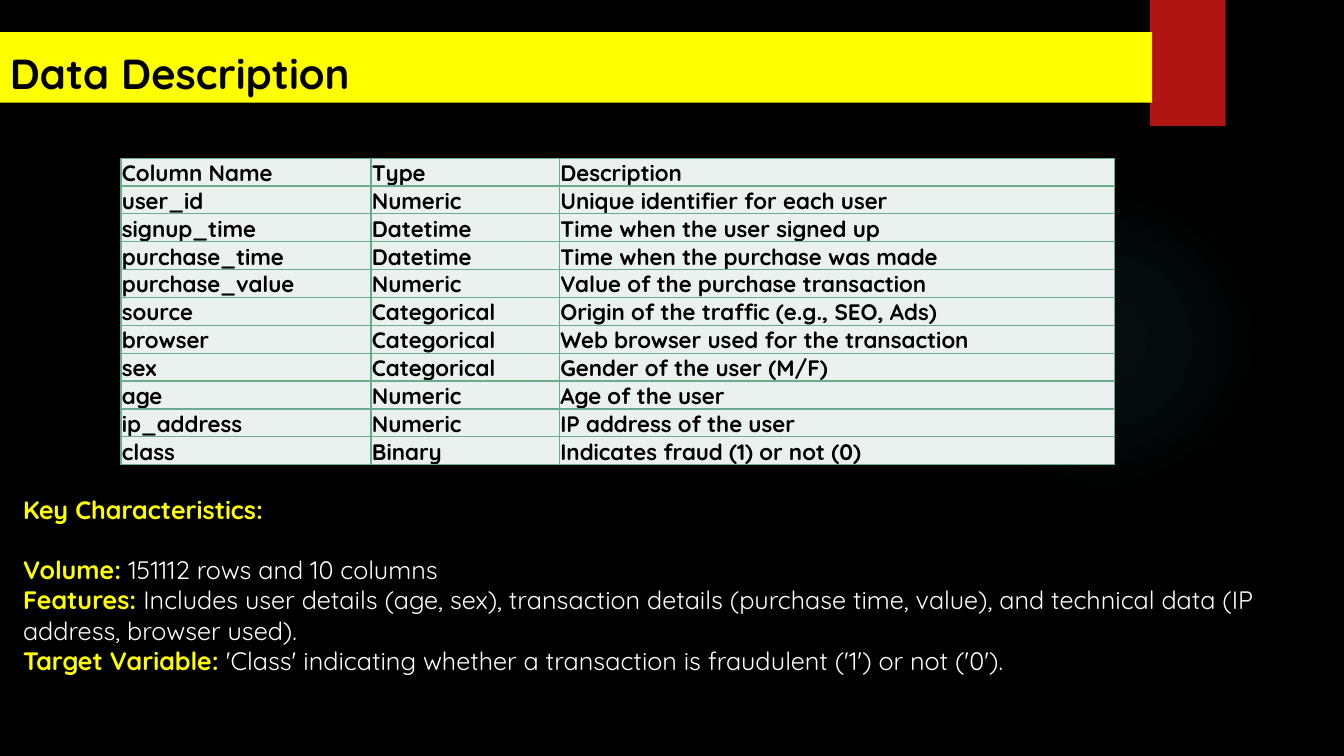
import pptx
import pptx.util
import pptx.dml.color
import pptx.enum.shapes
import pptx.enum.text
import pptx.oxml
import pptx.oxml.ns
from dataclasses import dataclass

Pt = pptx.util.Pt
SHAPES = pptx.enum.shapes.MSO_SHAPE
ANCHOR = pptx.enum.text.MSO_ANCHOR
ALIGN = pptx.enum.text.PP_ALIGN
NS = pptx.oxml.ns.nsdecls("a")


@dataclass(frozen=True)
class Theme:
    font: str = "Quicksand"
    background: str = "000000"
    accent: str = "FFFF00"
    ribbon: str = "B01513"
    glow: str = "50B9C1"
    dark: str = "000000"
    light: str = "FFFFFF"
    cell: str = "EBF1EE"
    border: str = "6AAC90"
    title_size: int = 30
    body_size: int = 18
    table_size: int = 16


def rgb(value):
    return pptx.dml.color.RGBColor.from_string(value)


def apply(target, formats):
    for name, value in formats.items():
        setattr(target, name, value)


class SlideBuilder:
    def __init__(self, slide, theme):
        self.slide, self.theme = slide, theme
        slide.background.fill.solid()
        slide.background.fill.fore_color.rgb = rgb(theme.background)

    def run(self, paragraph, text, size, color, bold=True):
        run = paragraph.add_run()
        run.text = text
        apply(run.font, {"name": self.theme.font, "size": Pt(size), "bold": bold})
        run.font.color.rgb = rgb(color)

    def shape(self, kind, left, top, width, height, color):
        shape = self.slide.shapes.add_shape(kind, Pt(left), Pt(top), Pt(width), Pt(height))
        shape.shadow.inherit = False
        shape.line.fill.background()
        shape.fill.solid()
        shape.fill.fore_color.rgb = rgb(color)
        return shape

    def glow(self, left, top, size, stops):
        circle = self.shape(SHAPES.OVAL, left, top, size, size, self.theme.glow)
        stop_xml = "".join(
            f'<a:gs pos="{position * 1000}"><a:srgbClr val="{self.theme.glow}">'
            f'<a:alpha val="{alpha * 1000}"/></a:srgbClr></a:gs>'
            for position, alpha in stops)
        gradient = pptx.oxml.parse_xml(
            f'<a:gradFill {NS}><a:gsLst>{stop_xml}</a:gsLst><a:path path="circle">'
            '<a:fillToRect l="50000" t="50000" r="50000" b="50000"/></a:path></a:gradFill>')
        properties = circle.fill._xPr
        properties.replace(properties.find(pptx.oxml.ns.qn("a:solidFill")), gradient)

    def title(self, text, left, top, width, height):
        banner = self.shape(SHAPES.RECTANGLE, left, top, width, height, self.theme.accent)
        apply(banner.text_frame, {"vertical_anchor": ANCHOR.BOTTOM, "word_wrap": True})
        paragraph = banner.text_frame.paragraphs[0]
        paragraph.alignment = ALIGN.LEFT
        self.run(paragraph, text, self.theme.title_size, self.theme.dark)

    def labelled_text(self, heading, items, left, top, width, height, gap):
        box = self.slide.shapes.add_textbox(Pt(left), Pt(top), Pt(width), Pt(height))
        frame = box.text_frame
        frame.word_wrap = True
        size = self.theme.body_size
        frame.paragraphs[0].space_after = Pt(gap)
        self.run(frame.paragraphs[0], heading, size, self.theme.accent)
        for label, detail in items:
            paragraph = frame.add_paragraph()
            self.run(paragraph, f"{label}: ", size, self.theme.accent)
            self.run(paragraph, detail, size, self.theme.light, bold=False)

    def cell(self, cell, text):
        apply(cell, {"margin_left": Pt(0.7), "margin_right": Pt(0.7), "margin_top": Pt(0.7),
                     "margin_bottom": Pt(0), "vertical_anchor": ANCHOR.BOTTOM})
        cell.fill.solid()
        cell.fill.fore_color.rgb = rgb(self.theme.cell)
        self.run(cell.text_frame.paragraphs[0], text, self.theme.table_size, self.theme.dark)
        properties = cell._tc.get_or_add_tcPr()
        for index, side in enumerate("LRTB"):
            properties.insert(index, pptx.oxml.parse_xml(
                f'<a:ln{side} {NS} w="{Pt(1)}"><a:solidFill>'
                f'<a:srgbClr val="{self.theme.border}"/></a:solidFill></a:ln{side}>'))

    def table(self, rows, left, top, widths, row_height):
        table = self.slide.shapes.add_table(
            len(rows), len(widths), Pt(left), Pt(top),
            Pt(sum(widths)), Pt(row_height * len(rows))).table
        apply(table, {"first_row": False, "horz_banding": False})
        for column, width in zip(table.columns, widths):
            column.width = Pt(width)
        for row, texts in zip(table.rows, rows):
            row.height = Pt(row_height)
            for cell, text in zip(row.cells, texts):
                self.cell(cell, text)


DATA_COLUMNS = [
    ("Column Name", "Type", "Description"),
    ("user_id", "Numeric", "Unique identifier for each user"),
    ("signup_time", "Datetime", "Time when the user signed up"),
    ("purchase_time", "Datetime", "Time when the purchase was made"),
    ("purchase_value", "Numeric", "Value of the purchase transaction"),
    ("source", "Categorical", "Origin of the traffic (e.g., SEO, Ads)"),
    ("browser", "Categorical", "Web browser used for the transaction"),
    ("sex", "Categorical", "Gender of the user (M/F)"),
    ("age", "Numeric", "Age of the user"),
    ("ip_address", "Numeric", "IP address of the user"),
    ("class", "Binary", "Indicates fraud (1) or not (0)"),
]

KEY_CHARACTERISTICS = [
    ("Volume", "151112 rows and 10 columns"),
    ("Features", "Includes user details (age, sex), transaction details (purchase time, value), "
                 "and technical data (IP address, browser used)."),
    ("Target Variable", "'Class' indicating whether a transaction is fraudulent ('1') or not ('0')."),
]


def main():
    theme = Theme()
    deck = pptx.Presentation()
    apply(deck, {"slide_width": Pt(960), "slide_height": Pt(540)})
    builder = SlideBuilder(deck.slides.add_slide(deck.slide_layouts[6]), theme)

    # Backdrop
    builder.glow(677.5, 132, 222, [(0, 7), (36, 6), (69, 0)])
    builder.shape(SHAPES.RECTANGLE, 821.5, 0, 54, 90, theme.ribbon)

    # Title banner
    builder.title("Data Description", 0, 23, 823, 50.4)

    # Key characteristics
    builder.labelled_text("Key Characteristics:", KEY_CHARACTERISTICS,
                          9.4, 349.2, 958, 138.2, gap=21.7)

    # Column dictionary
    builder.table(DATA_COLUMNS, 86.4, 113, [178.6, 134.6, 396.7], 19.8)

    deck.save("out.pptx")


if __name__ == "__main__":
    main()
